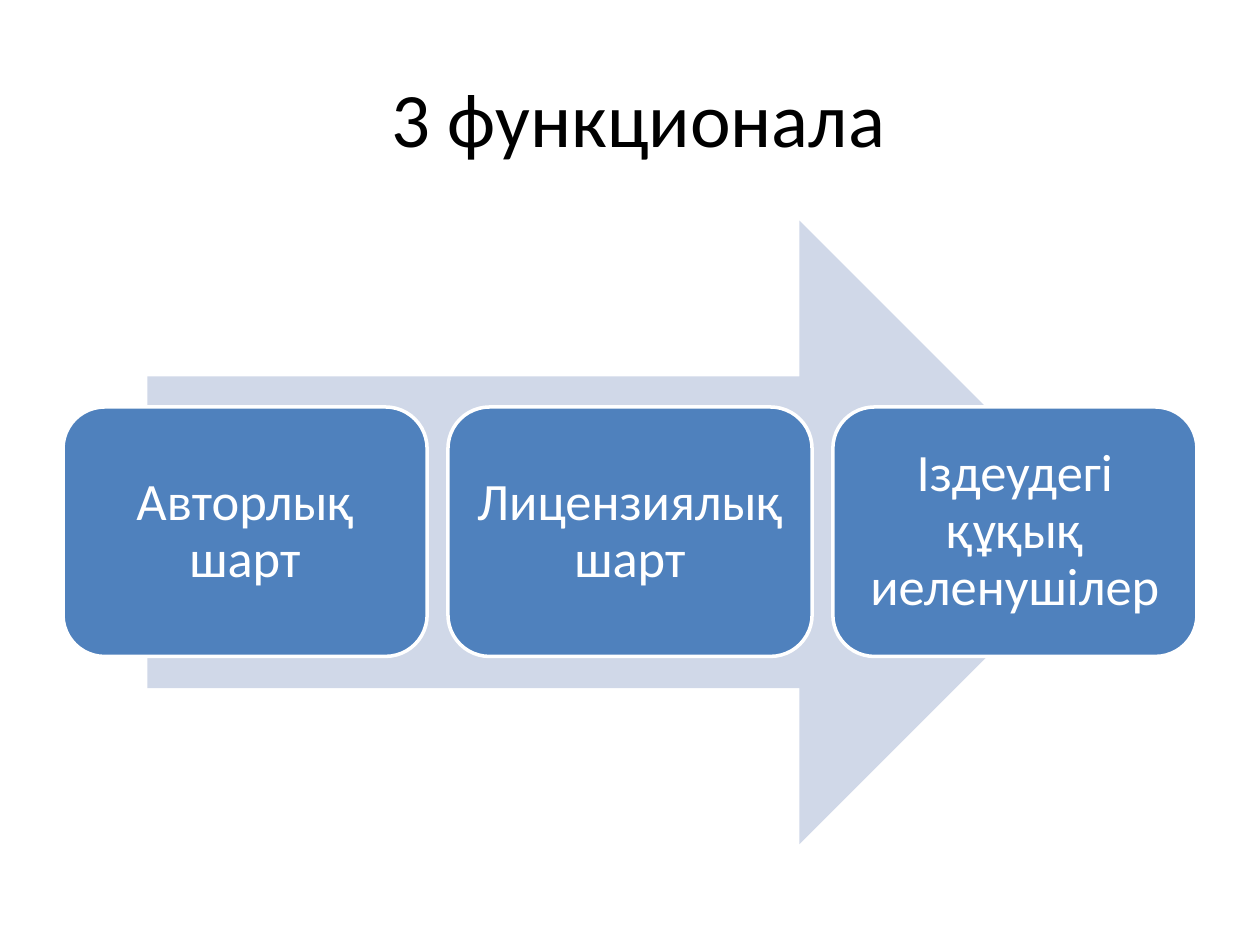
import pptx
import pptx.util
import pptx.dml.color
import pptx.enum.shapes
import pptx.enum.text

Inches, Pt = pptx.util.Inches, pptx.util.Pt
SHAPE = pptx.enum.shapes.MSO_SHAPE
MIDDLE = pptx.enum.text.MSO_ANCHOR.MIDDLE
COLORS = {"title": "000000", "arrow": "D0D8E8", "box": "4F81BD", "white": "FFFFFF"}
STEPS = ["Авторлық шарт", "Лицензиялық шарт", "Іздеудегі құқық иеленушілер"]


def add_filled(kind, left, top, width, height, color):
    """Add a preset shape with a solid fill and no shadow."""
    sp = s.shapes.add_shape(kind, Inches(left), Inches(top), Inches(width), Inches(height))
    sp.shadow.inherit = False
    sp.fill.solid()
    sp.fill.fore_color.rgb = pptx.dml.color.RGBColor.from_string(COLORS[color])
    return sp


def set_text(tf, text, size, color):
    """Write one centred paragraph, anchored in the middle."""
    tf.word_wrap = True
    tf.vertical_anchor = MIDDLE
    tf.text = text
    p = tf.paragraphs[0]
    p.alignment = pptx.enum.text.PP_ALIGN.CENTER
    p.font.size = Pt(size)
    p.font.name = "Calibri"
    p.font.color.rgb = pptx.dml.color.RGBColor.from_string(COLORS[color])
    return p


prs = pptx.Presentation()
prs.slide_width, prs.slide_height = Inches(10), Inches(7.5)
s = prs.slides.add_slide(prs.slide_layouts[5])

title = s.shapes.title
title.left, title.top = Inches(0.5), Inches(0.3)
title.width, title.height = Inches(9), Inches(1.25)
set_text(title.text_frame, " 3 функционала", 44, "title")

arrow = add_filled(SHAPE.RIGHT_ARROW, 1.17, 1.75, 7.65, 4.95, "arrow")
arrow.line.fill.background()

box_width = 2.89
pitch = (9 - box_width) / (len(STEPS) - 1)
for i, step in enumerate(STEPS):
    box = add_filled(SHAPE.ROUNDED_RECTANGLE, 0.5 + i * pitch, 3.23, box_width, 1.98, "box")
    box.line.color.rgb = pptx.dml.color.RGBColor.from_string(COLORS["white"])
    box.line.width = Pt(2)
    tf = box.text_frame
    tf.margin_left = tf.margin_right = tf.margin_top = tf.margin_bottom = Inches(0.02)
    p = set_text(tf, step, 30, "white")
    p.line_spacing = 0.9

prs.save("out.pptx")
